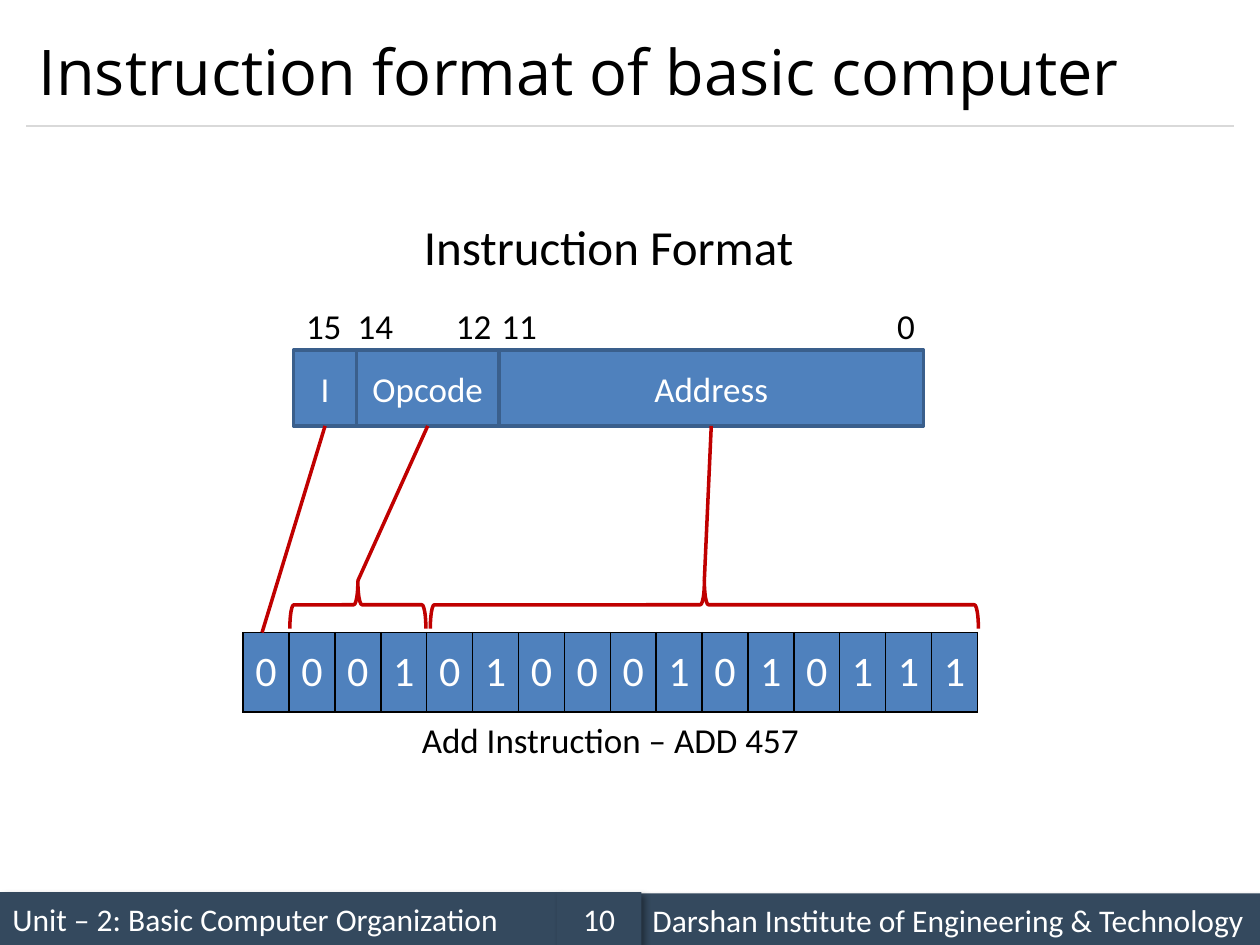
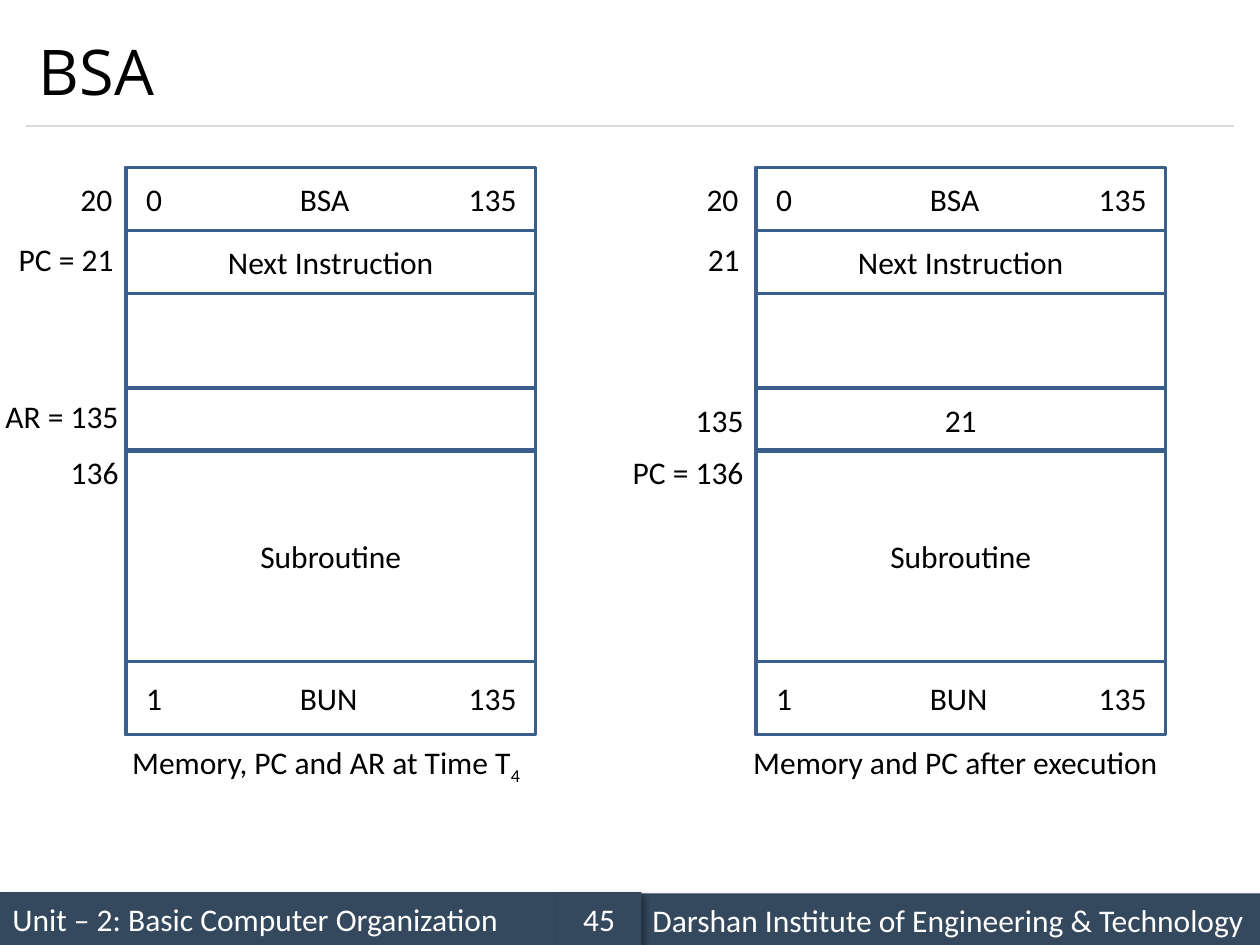
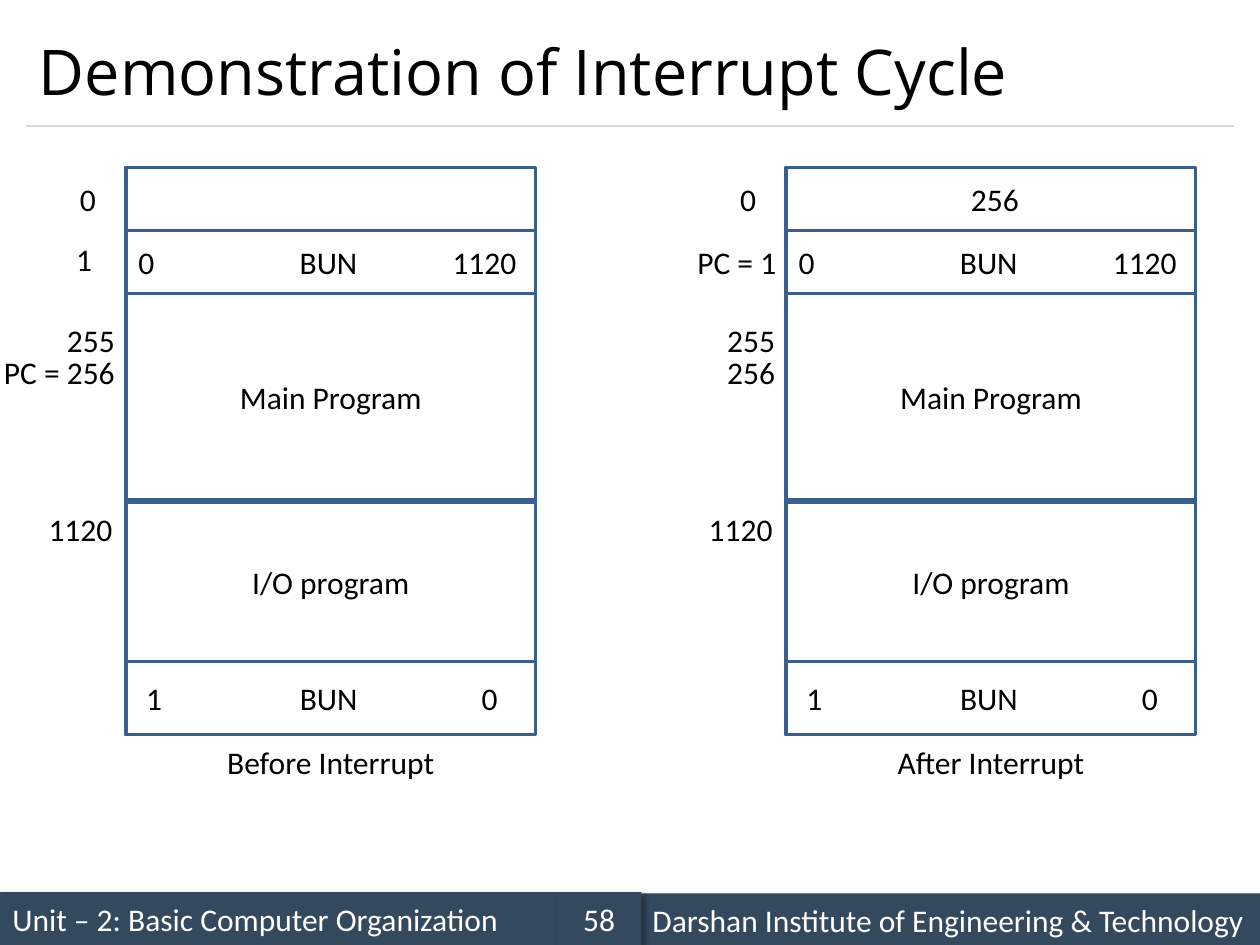
import lxml.etree
import pptx
import pptx.dml.color
import pptx.enum.shapes
import pptx.enum.text
import pptx.oxml.ns
import pptx.util

Inches = pptx.util.Inches
Pt = pptx.util.Pt
qn = pptx.oxml.ns.qn
PP_ALIGN = pptx.enum.text.PP_ALIGN
MSO_ANCHOR = pptx.enum.text.MSO_ANCHOR
MSO_SHAPE = pptx.enum.shapes.MSO_SHAPE

COLORS = {
    "white": "FFFFFF",
    "black": "000000",
    "band": "34495E",
    "rule": "D9D9D9",
    "field": "4F81BD",
    "outline": "3A5F8C",
    "accent": "C00000",
}
BODY_FONT = "Calibri"
TITLE_FONT = "Open Sans"
UNIT = "Unit – 2: Basic Computer Organization"
INSTITUTE = "Darshan Institute of Engineering & Technology"
PANEL_TOP, PANEL_WIDTH, PANEL_HEIGHT = 1.33, 3.25, 4.5


def rgb(name):
    return pptx.dml.color.RGBColor.from_string(COLORS[name])


def sub(parent, tag, **attrs):
    return lxml.etree.SubElement(parent, qn(tag), **attrs)


def add_run(p, text, size, color="black", font=BODY_FONT):
    r = p.add_run()
    r.text = text
    r.font.size = Pt(size)
    r.font.name = font
    r.font.color.rgb = rgb(color)
    return r


def add_text(s, text, left, top, width, height=0.4, size=18, align=PP_ALIGN.LEFT,
             anchor=MSO_ANCHOR.TOP, font=BODY_FONT, wrap=True):
    box = s.shapes.add_textbox(Inches(left), Inches(top), Inches(width), Inches(height))
    tf = box.text_frame
    tf.word_wrap = wrap
    tf.vertical_anchor = anchor
    p = tf.paragraphs[0]
    p.alignment = align
    add_run(p, text, size, font=font)
    return p


def add_shape(s, kind, left, top, width, height, fill=None, line=None):
    sp = s.shapes.add_shape(kind, Inches(left), Inches(top), Inches(width), Inches(height))
    sp.shadow.inherit = False
    if fill:
        sp.fill.solid()
        sp.fill.fore_color.rgb = rgb(fill)
    else:
        sp.fill.background()
    if line:
        sp.line.color.rgb = rgb(line)
        sp.line.width = Pt(2)
    else:
        sp.line.fill.background()
    return sp


def add_box(s, left, top, width, height, text="", fill=None, line="outline", size=18,
            color="black", align=PP_ALIGN.CENTER, inset=0.1):
    sp = add_shape(s, MSO_SHAPE.RECTANGLE, left, top, width, height, fill, line)
    tf = sp.text_frame
    tf.word_wrap = True
    tf.vertical_anchor = MSO_ANCHOR.MIDDLE
    tf.margin_left = Inches(inset)
    p = tf.paragraphs[0]
    p.alignment = align
    if text:
        add_run(p, text, size, color)
    return sp


def add_line(s, start, end, color, width, source=None):
    c = s.shapes.add_connector(pptx.enum.shapes.MSO_CONNECTOR.STRAIGHT,
                               *(Inches(v) for v in start + end))
    if source is not None:
        c.begin_connect(source, 2)
    c.line.color.rgb = rgb(color)
    c.line.width = Pt(width)
    sub(c._element.spPr, "a:effectLst")


def add_band(s, left, top, width, text, align=PP_ALIGN.LEFT):
    sp = add_box(s, left, top, width, 0.42, text, "band", None, color="white", align=align)
    effects = sp._element.spPr.find(qn("a:effectLst"))
    shadow = sub(effects, "a:outerShdw", blurRad=str(Pt(4)), dist=str(Pt(3)),
                 dir="2700000", algn="tl", rotWithShape="0")
    sub(sub(shadow, "a:srgbClr", val=COLORS["black"]), "a:alpha", val="40000")


def new_slide(prs, title, number):
    s = prs.slides.add_slide(prs.slide_layouts[6])
    add_band(s, 0, 7.08, 4.42, UNIT)
    add_line(s, (0.21, 1), (9.79, 1), "rule", 0.75)
    add_band(s, 5.08, 7.09, 4.92, INSTITUTE)
    add_band(s, 4.42, 7.08, 0.67, number, PP_ALIGN.CENTER)
    add_text(s, title, 0.21, 0.12, 9.58, 0.88, 36, anchor=MSO_ANCHOR.MIDDLE, font=TITLE_FONT)
    return s


def add_brace(s, center, tip, span):
    depth = 0.38
    sp = add_shape(s, MSO_SHAPE.LEFT_BRACE, center - depth / 2, tip + depth / 2 - span / 2,
                   depth, span, line="accent")
    sp.rotation = 90


def add_bit_table(s, bits, left, top, width, height):
    frame = s.shapes.add_table(1, len(bits), Inches(left), Inches(top),
                               Inches(width), Inches(height))
    table = frame.table
    table.first_row = table.horz_banding = False
    for col, bit in enumerate(bits):
        table.columns[col].width = Inches(width / len(bits))
        cell = table.cell(0, col)
        cell.vertical_anchor = MSO_ANCHOR.MIDDLE
        cell.margin_left = cell.margin_right = Inches(0.05)
        p = cell.text_frame.paragraphs[0]
        p.alignment = PP_ALIGN.CENTER
        add_run(p, bit, 24, "white")
        tc_pr = cell._tc.get_or_add_tcPr()
        for side in ("a:lnL", "a:lnR", "a:lnT", "a:lnB"):
            ln = sub(tc_pr, side, w=str(Pt(1)))
            sub(sub(ln, "a:solidFill"), "a:srgbClr", val=COLORS["black"])
        cell.fill.solid()
        cell.fill.fore_color.rgb = rgb("field")


def add_instruction(s, left, top, height, parts, inset=0.16, right_end=3.1):
    sp = add_box(s, left, top, PANEL_WIDTH, height, "\t".join(parts),
                 align=PP_ALIGN.LEFT, inset=inset)
    tabs = sub(sp.text_frame.paragraphs[0]._p.get_or_add_pPr(), "a:tabLst")
    sub(tabs, "a:tab", pos=str(Inches(1.38 - inset)), algn="l")
    sub(tabs, "a:tab", pos=str(Inches(right_end - inset)), algn="r")


def add_address(s, text, right, top):
    digits = sum(ch.isdigit() for ch in text)
    width = 0.2 + 0.13 * digits + (0.52 if "=" in text else 0)
    add_text(s, text, right - width, top, width, align=PP_ALIGN.RIGHT, wrap=False)


def add_bsa_memory(s, left, addresses):
    add_box(s, left, PANEL_TOP, PANEL_WIDTH, PANEL_HEIGHT)
    add_instruction(s, left, 1.33, 0.5, ("0", "BSA", "135"))
    add_box(s, left, 1.83, PANEL_WIDTH, 0.5, "Next Instruction")
    add_box(s, left, 3.08, PANEL_WIDTH, 0.5)
    add_box(s, left, 3.57, PANEL_WIDTH, 1.68, "Subroutine")
    add_instruction(s, left, 5.25, 0.58, ("1", "BUN", "135"))
    for address in addresses:
        add_address(s, *address)


def add_interrupt_memory(s, left, first_word, caption, addresses):
    add_box(s, left, PANEL_TOP, PANEL_WIDTH, PANEL_HEIGHT)
    add_box(s, left, 1.33, PANEL_WIDTH, 0.5, first_word, inset=0.16)
    add_instruction(s, left, 1.83, 0.5, ("0", "BUN", "1120"), inset=0.1)
    add_box(s, left, 2.33, PANEL_WIDTH, 1.64, "Main Program")
    add_box(s, left, 3.99, PANEL_WIDTH, 1.26, "I/O program")
    add_instruction(s, left, 5.25, 0.58, ("1", "BUN", "0"), right_end=2.95)
    add_text(s, caption, left, 5.85, PANEL_WIDTH, align=PP_ALIGN.CENTER)
    for address in addresses:
        add_address(s, *address)


def instruction_format_slide(prs):
    s = new_slide(prs, "Instruction format of basic computer", "10")
    for bit, center in (("15", 2.57), ("14", 2.98), ("12", 3.76), ("11", 4.12), ("0", 7.19)):
        add_text(s, bit, center - 0.27, 2.37, 0.54, 0.44, 20, PP_ALIGN.CENTER)
    add_text(s, "Instruction Format", 2.33, 1.67, 5, 0.57, 28, PP_ALIGN.CENTER)
    left = 2.33
    fields = []
    for name, width in (("I", 0.5), ("Opcode", 1.13), ("Address", 3.37)):
        fields.append(add_box(s, left, 2.78, width, 0.6, name, "field", size=20, color="white"))
        left += width
    add_bit_table(s, "0001010001010111", 1.93, 5.02, 5.83, 0.63)
    for field, start, end in zip(fields, (2.58, 3.4, 5.65),
                                 ((2.08, 5.02), (2.84, 4.61), (5.59, 4.61))):
        add_line(s, (start, 3.38), end, "accent", 2, field)
    add_brace(s, 2.84, 4.61, 1.08)
    add_brace(s, 5.59, 4.61, 4.35)
    add_text(s, "Add Instruction – ADD 457", 1.93, 5.65, 5.83, 0.44, 20, PP_ALIGN.CENTER)


def bsa_slide(prs):
    s = new_slide(prs, "BSA", "45")
    add_bsa_memory(s, 1, (("20", 0.99, 1.38), ("PC = 21", 1, 1.86),
                          ("AR = 135", 1.04, 3.1), ("136", 1.04, 3.55)))
    add_bsa_memory(s, 6, (("20", 5.96, 1.38), ("21", 5.97, 1.86),
                          ("135", 6, 3.13), ("PC = 136", 6, 3.55)))
    add_text(s, "21", 7.4, 3.13, 0.46)
    p = add_text(s, "Memory, PC and AR at Time T", 0.95, 5.85, 3.35)
    r = add_run(p, "4", 18)
    r._r.get_or_add_rPr().set("baseline", "-25000")
    add_text(s, "Memory and PC after execution", 5.88, 5.85, 3.5)


def interrupt_slide(prs):
    s = new_slide(prs, "Demonstration of Interrupt Cycle", "58")
    add_interrupt_memory(s, 1, "", "Before Interrupt",
                         (("0", 0.86, 1.38), ("1", 0.83, 1.86), ("255", 1.01, 2.5),
                          ("PC = 256", 1.01, 2.75), ("1120", 0.99, 4)))
    add_interrupt_memory(s, 6.24, "256", "After Interrupt",
                         (("0", 6.1, 1.38), ("PC = 1", 6.26, 1.88), ("255", 6.25, 2.5),
                          ("256", 6.25, 2.75), ("1120", 6.23, 4)))


def main():
    prs = pptx.Presentation()
    prs.slide_width = Inches(10)
    prs.slide_height = Inches(7.5)
    instruction_format_slide(prs)
    bsa_slide(prs)
    interrupt_slide(prs)
    prs.save("out.pptx")


if __name__ == "__main__":
    main()
